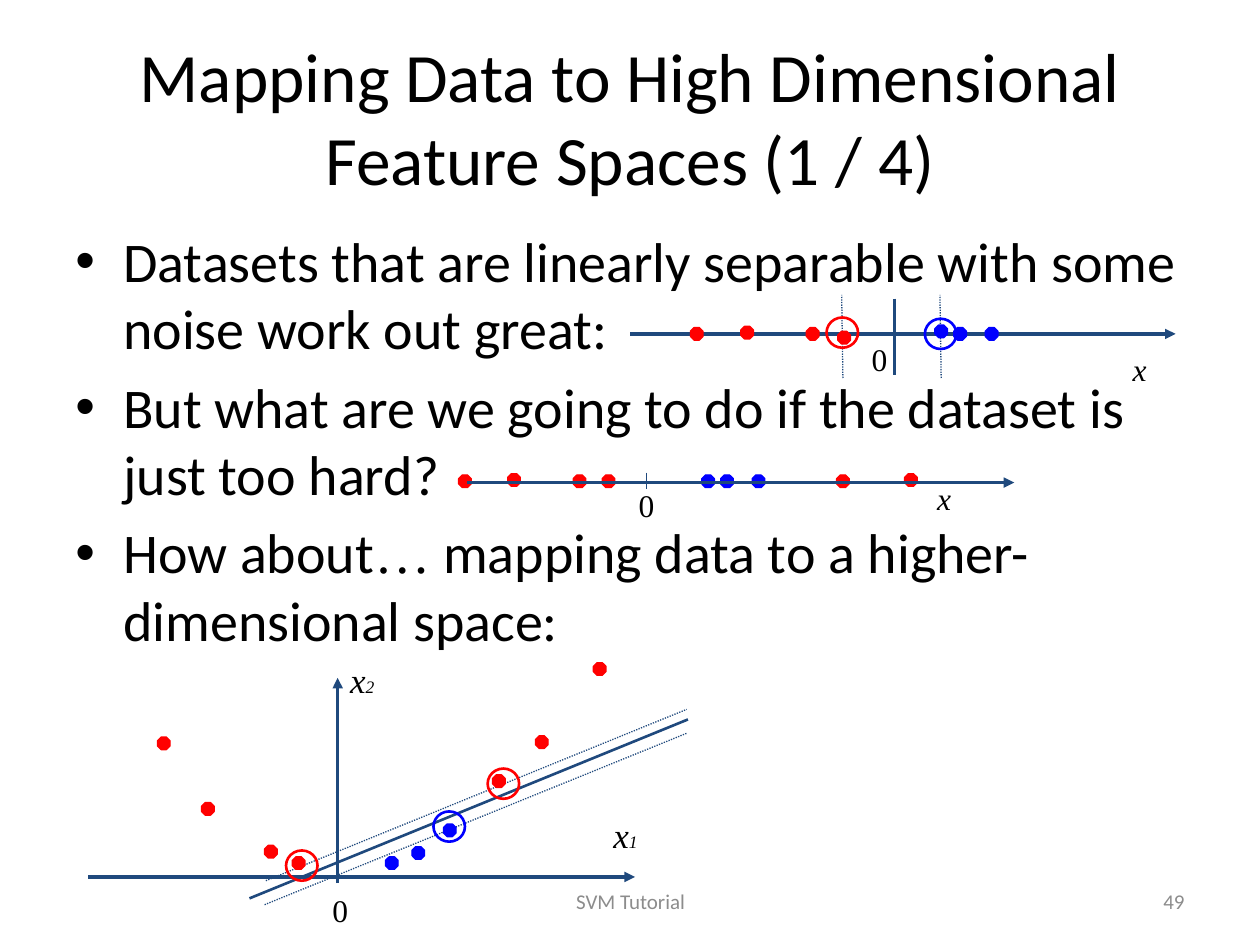
from lxml.etree import SubElement
from pptx import Presentation
from pptx.dml.color import RGBColor
from pptx.enum.dml import MSO_LINE
from pptx.enum.shapes import MSO_CONNECTOR, MSO_SHAPE
from pptx.enum.text import MSO_ANCHOR, PP_ALIGN
from pptx.oxml.ns import qn
from pptx.util import Inches, Pt

COLORS = {"text": "000000", "footer": "8C8C8C", "axis": "1F497D", "red": "FF0000", "blue": "0000FF"}
SANS, SERIF = "Calibri", "Times New Roman"

prs = Presentation()
prs.slide_width, prs.slide_height = Inches(10), Inches(7.5)
slide = prs.slides.add_slide(prs.slide_layouts[6])


def add_text(box, paragraphs, size, font=SANS, color="text", align=PP_ALIGN.LEFT, anchor=MSO_ANCHOR.TOP):
    frame = slide.shapes.add_textbox(*map(Inches, box)).text_frame
    frame.word_wrap = True
    frame.vertical_anchor = anchor
    for i, pieces in enumerate(paragraphs):
        paragraph = frame.paragraphs[0] if i == 0 else frame.add_paragraph()
        paragraph.alignment = align
        for piece in pieces:
            run = paragraph.add_run()
            run.text = piece
            run.font.size = Pt(size)
            run.font.name = font
            run.font.color.rgb = RGBColor.from_string(COLORS[color])
    return frame


def add_marks(preset, size, marks, line_width, filled):
    for color, x, y in marks:
        mark = slide.shapes.add_shape(preset, Inches(x), Inches(y), *map(Inches, size))
        mark.shadow.inherit = False
        rgb = RGBColor.from_string(COLORS[color])
        mark.line.color.rgb = rgb
        mark.line.width = Pt(line_width)
        if filled:
            mark.adjustments[0] = 0.293
            mark.fill.solid()
            mark.fill.fore_color.rgb = rgb
        else:
            mark.fill.background()


add_text((0.5, 0.3, 9, 1.25), [["Mapping Data to High Dimensional Feature Spaces (1 / 4)"]], 39.6,
         align=PP_ALIGN.CENTER, anchor=MSO_ANCHOR.MIDDLE)

points = add_text((0.5, 1.75, 9, 4.95), [
    ["Datasets that are linearly separable with some noise work out great:"],
    ["But what are we going to do if the dataset is just too hard?"],
    ["How about", "…", " mapping data to a higher-dimensional space:"],
], 32)
for i, point in enumerate(points.paragraphs):
    props = point._p.get_or_add_pPr()
    props.set("marL", str(Inches(0.38)))
    props.set("indent", str(Inches(-0.38)))
    SubElement(props, qn("a:buFont"), typeface="Arial")
    SubElement(props, qn("a:buChar"), char="•")
    point.space_before = Pt(6.4 if i else 0)
points.paragraphs[2].runs[1].font.name = SERIF

add_text((3.42, 6.95, 3.17, 0.4), [["SVM Tutorial"]], 12, color="footer",
         align=PP_ALIGN.CENTER, anchor=MSO_ANCHOR.MIDDLE)
add_text((7.17, 6.95, 2.33, 0.4), [["49"]], 12, color="footer",
         align=PP_ALIGN.RIGHT, anchor=MSO_ANCHOR.MIDDLE)

hard_points = [
    ("red", 3.64, 3.77), ("red", 4.03, 3.76), ("red", 4.55, 3.77), ("red", 4.78, 3.77),
    ("blue", 5.57, 3.77), ("blue", 5.72, 3.77), ("blue", 5.97, 3.77),
    ("red", 6.64, 3.77), ("red", 7.18, 3.76),
]
separable_points = [
    ("red", 5.48, 2.6), ("red", 5.88, 2.59), ("red", 6.4, 2.6), ("red", 6.65, 2.63),
    ("blue", 7.42, 2.58), ("blue", 7.57, 2.6), ("blue", 7.82, 2.6),
]
mapped_points = [
    ("red", 1.25, 5.85), ("red", 1.6, 6.37), ("red", 2.1, 6.71), ("red", 2.32, 6.8),
    ("blue", 3.06, 6.8), ("blue", 3.27, 6.72), ("blue", 3.52, 6.54),
    ("red", 3.91, 6.15), ("red", 4.25, 5.84), ("red", 4.71, 5.26),
]
support_vectors = [
    ("red", 6.56, 2.52), ("blue", 7.34, 2.53),
    ("red", 2.27, 6.75), ("blue", 3.44, 6.44), ("red", 3.87, 6.1),
]
dot_size = (0.1, 0.1)

add_marks(MSO_SHAPE.OCTAGON, dot_size, hard_points, 0.75, True)

line_groups = [
    ("arrow", 2, [(5, 2.65, 9.33, 2.65), (3.71, 3.83, 8.05, 3.83),
                  (0.7, 6.96, 5.04, 6.96), (2.68, 7.01, 2.68, 5.38)]),
    ("solid", 1.5, [(7.1, 2.37, 7.1, 2.98), (1.98, 7.13, 5.46, 5.71)]),
    ("solid", 0.75, [(5.13, 3.75, 5.13, 3.88)]),
    ("dotted", 0.75, [(7.47, 3, 7.46, 2.34), (6.69, 3, 6.68, 2.34),
                      (2.1, 7.18, 5.45, 5.82), (2.11, 6.99, 5.45, 5.63)]),
]
for style, width, segments in line_groups:
    for ends in segments:
        segment = slide.shapes.add_connector(MSO_CONNECTOR.STRAIGHT, *map(Inches, ends))
        segment.line.color.rgb = RGBColor.from_string(COLORS["axis"])
        segment.line.width = Pt(width)
        if style == "dotted":
            segment.line.dash_style = MSO_LINE.ROUND_DOT
        if style == "arrow":
            SubElement(segment.line._get_or_add_ln(), qn("a:tailEnd"), type="triangle")
        SubElement(segment._element.spPr, qn("a:effectLst"))

add_marks(MSO_SHAPE.OCTAGON, dot_size, separable_points + mapped_points, 0.75, True)
add_marks(MSO_SHAPE.OVAL, (0.25, 0.24), support_vectors, 1.5, False)

for x, y in [(6.82, 2.65), (4.97, 3.81), (2.54, 7.02)]:
    add_text((x, y, 0.38, 0.4), [["0"]], 18, SERIF)

axis_names = [(8.89, 2.73, 18, ["x"]), (7.34, 3.75, 18, ["x"]),
              (4.77, 6.41, 20, ["x", "1"]), (2.68, 5.18, 20, ["x", "2"])]
for x, y, size, pieces in axis_names:
    axis_name = add_text((x, y, 0.5, 0.44), [pieces], size, SERIF).paragraphs[0]
    for run in axis_name.runs:
        run.font.italic = True
    for subscript in axis_name.runs[1:]:
        subscript.font.size = Pt(10)

prs.save("out.pptx")
